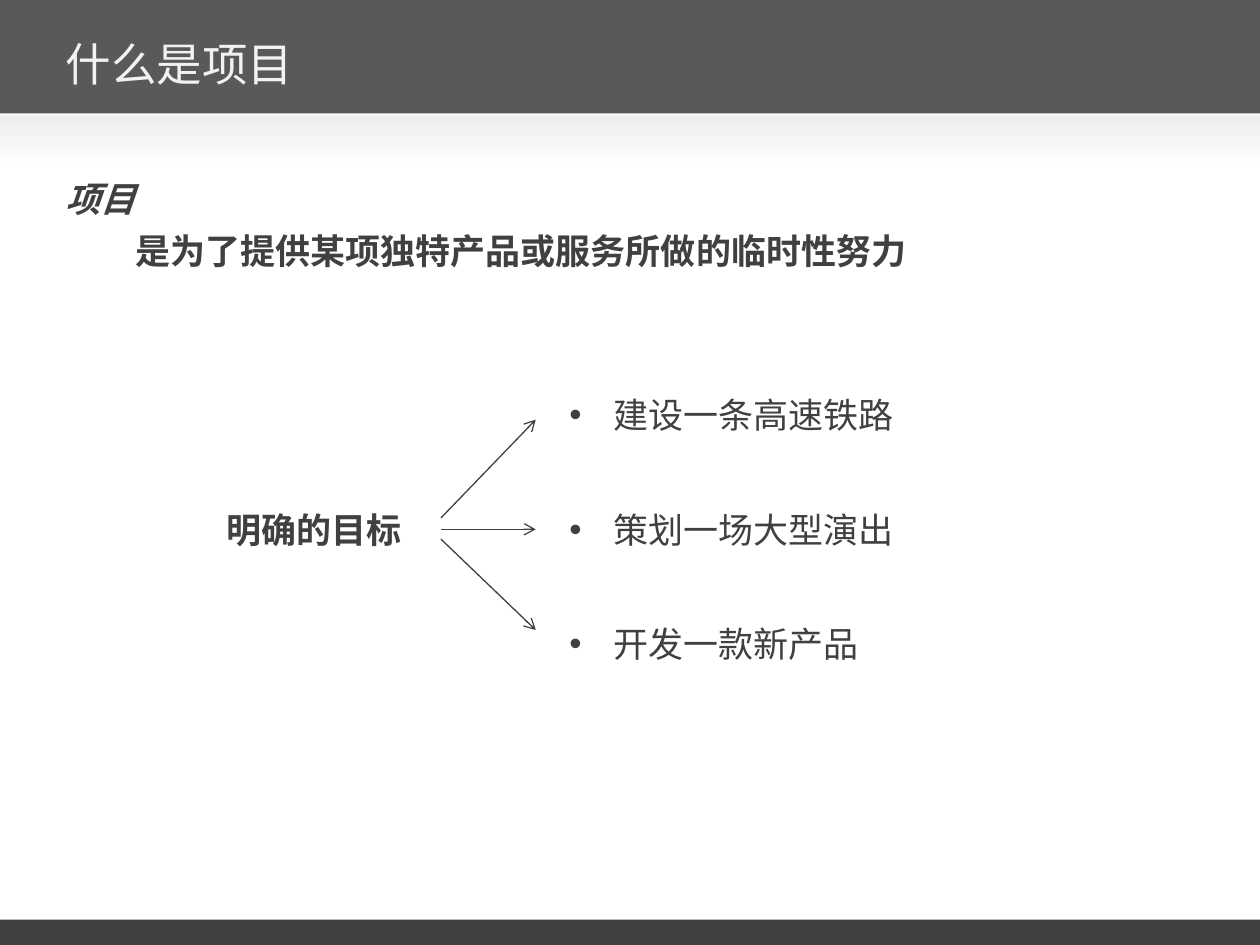
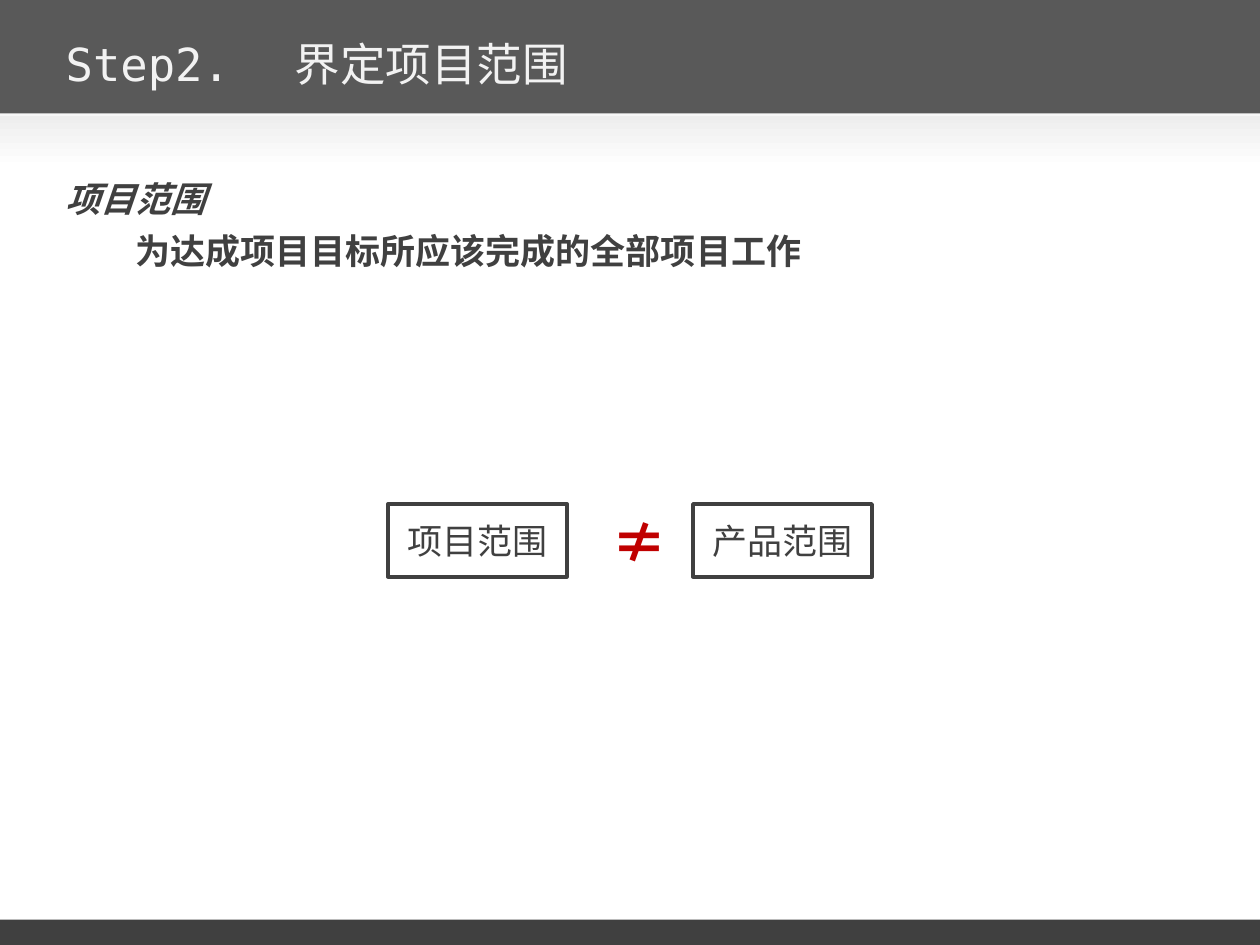
"""Build two slides on project goals and project scope."""
from dataclasses import dataclass
from typing import NamedTuple, Optional

from lxml import etree
from pptx import Presentation
from pptx import util as u
from pptx.dml.color import RGBColor
from pptx.enum import shapes, text
from pptx.oxml.ns import qn


@dataclass(frozen=True)
class Theme:
    """Colours, fonts and type sizes of the deck."""
    dark: str = "404040"
    title_band: str = "595959"
    title_back: str = "F7F7F7"
    title_text: str = "F2F2F2"
    fade_start: str = "EEEEEE"
    white: str = "FFFFFF"
    accent: str = "C00000"
    title_font: str = "DejaVu Sans Mono"
    body_font: str = "Noto Sans CJK SC"
    label_font: str = "Arial"
    title_size: int = 26
    body_size: int = 20
    sign_size: int = 32
    definition_leading: float = 29.7


THEME = Theme()


class Box(NamedTuple):
    """Left, top, width and height in centimetres."""
    left: float
    top: float
    width: float
    height: float

    def lengths(self) -> list:
        """Return the four values as lengths."""
        return [u.Cm(value) for value in self]


class Band(NamedTuple):
    """A full-width band, fading to a second colour if one is given."""
    top: float
    height: float
    color: str
    fade_to: Optional[str] = None


@dataclass(frozen=True)
class Style:
    """Look of one text run."""
    size: int = THEME.body_size
    color: str = THEME.dark
    font: str = THEME.body_font
    bold: bool = False
    italic: bool = False


WIDTH, HEIGHT = 25.4, 19.05
BANDS = [
    Band(0, 2.54, THEME.title_back),
    Band(18.54, 0.51, THEME.dark),
    Band(0, 2.29, THEME.title_band),
    Band(2.34, 1.07, THEME.fade_start, THEME.white),
]
TITLE_BOX = Box(1.07, 0.43, 20.52, 1.7)
DEFINITION_BOX = Box(1.07, 3.25, 22.86, 2.6)
TITLE_TAB = 4.62
DEFINITION_INDENT = 1.4
BULLET_INDENT = 0.89

BODY = Style()
TITLE = Style(THEME.title_size, THEME.title_text, THEME.title_font)
TERM = Style(bold=True, italic=True)
MEANING = Style(bold=True)
LABEL = Style(font=THEME.label_font, bold=True)
SIGN = Style(THEME.sign_size, THEME.accent, bold=True)


def rgb(color: str) -> RGBColor:
    """Turn a hex string into a colour."""
    return RGBColor.from_string(color)


def add_run(paragraph, words: str, style: Style) -> None:
    """Add one styled run to a paragraph."""
    run = paragraph.add_run()
    run.text = words
    font = run.font
    font.size = u.Pt(style.size)
    font.bold, font.italic = style.bold, style.italic
    font.color.rgb = rgb(style.color)
    font.name = style.font
    east_asian = etree.SubElement(font._element if hasattr(font, "_element") else font._rPr, qn("a:ea"))
    east_asian.set("typeface", THEME.body_font)


def set_indent(paragraph, margin: float, bullet: Optional[str] = None) -> None:
    """Set the left margin, with a hanging bullet or none."""
    properties = paragraph._p.get_or_add_pPr()
    properties.set("marL", str(u.Cm(margin)))
    properties.set("indent", str(-u.Cm(margin) if bullet else 0))
    if bullet:
        etree.SubElement(properties, qn("a:buFont")).set("typeface", THEME.label_font)
        etree.SubElement(properties, qn("a:buChar")).set("char", bullet)
    else:
        etree.SubElement(properties, qn("a:buNone"))


def place(shape, box: Box) -> None:
    """Move and size a shape."""
    shape.left, shape.top, shape.width, shape.height = box.lengths()


def add_rectangle(slide, box: Box, color: str):
    """Add a plain filled rectangle without outline."""
    shape = slide.shapes.add_shape(shapes.MSO_SHAPE.RECTANGLE, *box.lengths())
    shape.shadow.inherit = False
    shape.fill.solid()
    shape.fill.fore_color.rgb = rgb(color)
    shape.line.fill.background()
    return shape


def add_bands(slide, layout) -> None:
    """Draw the shared bands and move them behind the layout's placeholders."""
    for index, band in enumerate(BANDS):
        shape = add_rectangle(slide, Box(0, band.top, WIDTH, band.height), band.color)
        if band.fade_to:
            shape.fill.gradient()
            shape.fill.gradient_angle = 270
            colors = (band.color, band.fade_to)
            for position, (stop, color) in enumerate(zip(shape.fill.gradient_stops, colors)):
                stop.position = position
                stop.color.rgb = rgb(color)
        shape.element.nvSpPr.cNvPr.set("id", str(100 + index))
        layout.shapes.element.insert(2 + index, shape.element)


def add_page(presentation, layout, title: str, term: str, meaning: str):
    """Add a slide with its title and a definition."""
    slide = presentation.slides.add_slide(layout)
    place(slide.shapes.title, TITLE_BOX)
    frame = slide.shapes.title.text_frame
    frame.vertical_anchor = text.MSO_ANCHOR.MIDDLE
    frame.auto_size = text.MSO_AUTO_SIZE.NONE
    paragraph = frame.paragraphs[0]
    paragraph.alignment = text.PP_ALIGN.LEFT
    if "\t" in title:
        tabs = etree.SubElement(paragraph._p.get_or_add_pPr(), qn("a:tabLst"))
        etree.SubElement(tabs, qn("a:tab"), pos=str(u.Cm(TITLE_TAB)), algn="l")
    add_run(paragraph, title, TITLE)

    body = slide.placeholders[1]
    place(body, DEFINITION_BOX)
    frame = body.text_frame
    frame.auto_size = text.MSO_AUTO_SIZE.NONE
    rows = ((term, TERM, 0), (meaning, MEANING, DEFINITION_INDENT))
    for level, (words, style, margin) in enumerate(rows):
        paragraph = frame.add_paragraph() if level else frame.paragraphs[0]
        paragraph.level = level
        set_indent(paragraph, margin)
        paragraph.space_before = u.Pt(0)
        paragraph.line_spacing = u.Pt(THEME.definition_leading)
        add_run(paragraph, words, style)
    return slide


def fill_text(shape, words: str, style: Style, bullet: Optional[str] = None) -> None:
    """Write one line, centred unless it has a bullet."""
    frame = shape.text_frame
    frame.word_wrap = bullet is not None
    frame.vertical_anchor = text.MSO_ANCHOR.MIDDLE
    paragraph = frame.paragraphs[0]
    if bullet:
        set_indent(paragraph, BULLET_INDENT, bullet)
    else:
        paragraph.alignment = text.PP_ALIGN.CENTER
    add_run(paragraph, words, style)


def add_label(slide, box: Box, words: str, style: Style, bullet: Optional[str] = None) -> None:
    """Add a one-line text box."""
    fill_text(slide.shapes.add_textbox(*box.lengths()), words, style, bullet)


def add_arrow(slide, left: float, start: float, right: float, end: float) -> None:
    """Add a thin straight arrow."""
    points = [u.Cm(value) for value in (left, start, right, end)]
    connector = slide.shapes.add_connector(shapes.MSO_CONNECTOR.STRAIGHT, *points)
    connector.line.color.rgb = rgb(THEME.dark)
    connector.line.width = u.Pt(0.75)
    etree.SubElement(connector.line._get_or_add_ln(), qn("a:tailEnd")).set("type", "arrow")
    etree.SubElement(connector.element.spPr, qn("a:effectLst"))


def add_goals(slide) -> None:
    """Draw the goal label and its three examples."""
    middle, pitch, height = 10.67, 2.31, 1.12
    add_label(slide, Box(4.01, middle - height / 2, 4.65, height), "明确的目标", LABEL)
    goals = ("建设一条高速铁路", "策划一场大型演出", "开发一款新产品")
    arrows = ((10.44, 8.46), (middle, middle), (10.87, 12.7))
    for index, (goal, (start, end)) in enumerate(zip(goals, arrows)):
        add_arrow(slide, 8.89, start, 10.8, end)
        top = middle - height / 2 + (index - 1) * pitch
        add_label(slide, Box(11.23, top, 8.25, height), goal, BODY, "•")


def add_scope_comparison(slide) -> None:
    """Set project scope against product scope."""
    for index, scope in enumerate(("项目范围", "产品范围")):
        shape = add_rectangle(slide, Box(7.82 + index * 6.15, 10.16, 3.61, 1.47), THEME.white)
        shape.line.color.rgb = rgb(THEME.dark)
        shape.line.width = u.Pt(2)
        fill_text(shape, scope, BODY)
    add_label(slide, Box(12.07, 10.01, 1.6, 1.8), "≠", SIGN)


def main() -> None:
    """Build and save the deck."""
    presentation = Presentation()
    presentation.slide_width, presentation.slide_height = u.Cm(WIDTH), u.Cm(HEIGHT)
    layout = presentation.slide_layouts[1]
    project = add_page(presentation, layout, "什么是项目",
                       "项目", "是为了提供某项独特产品或服务所做的临时性努力")
    add_bands(project, layout)
    add_goals(project)
    scope = add_page(presentation, layout, "Step2.\t界定项目范围",
                     "项目范围", "为达成项目目标所应该完成的全部项目工作")
    add_scope_comparison(scope)
    presentation.save("out.pptx")


if __name__ == "__main__":
    main()
